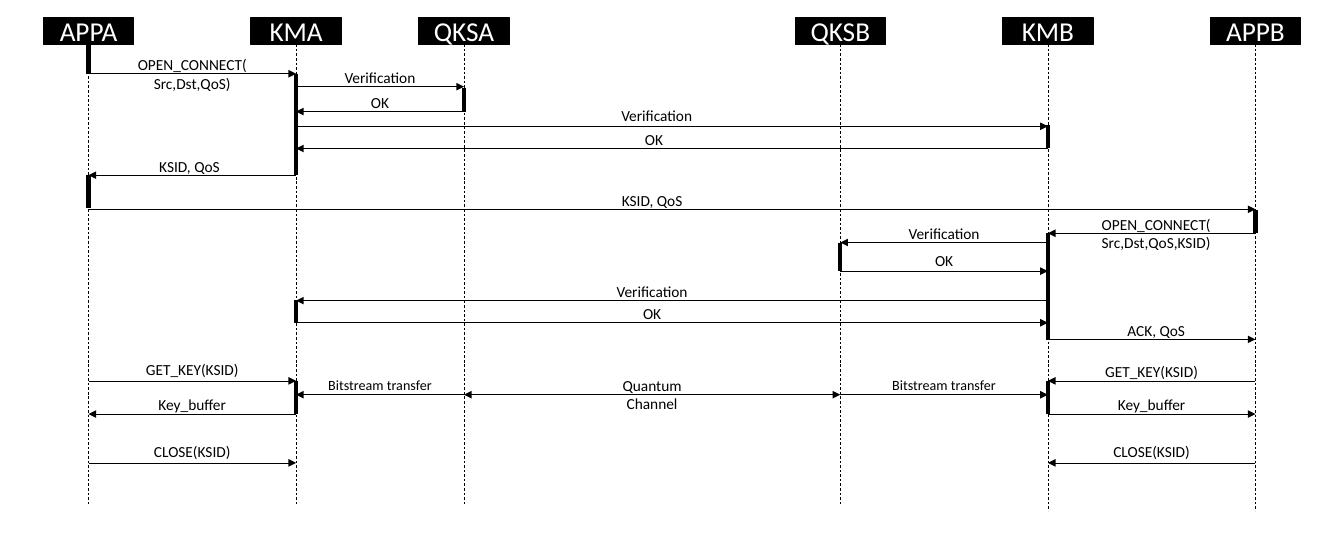
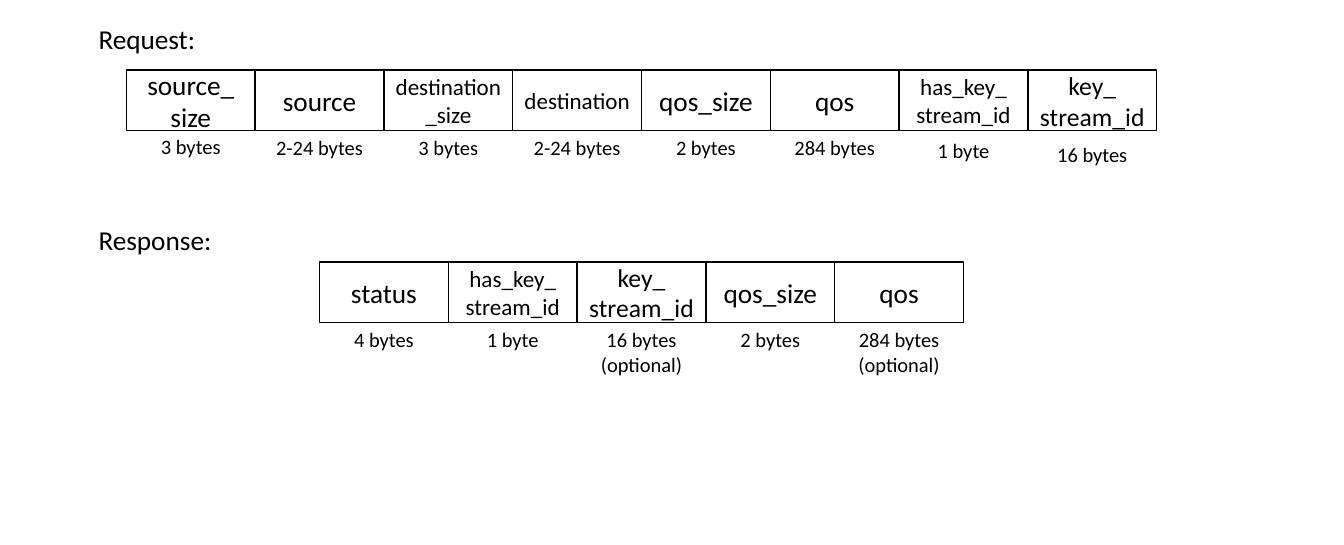
from dataclasses import dataclass

from lxml import etree
from pptx import Presentation
from pptx import util as u
from pptx.dml.color import RGBColor
from pptx.enum import dml, shapes, text
from pptx.oxml.ns import qn


@dataclass(frozen=True)
class Theme:
    ink: RGBColor = RGBColor(0x00, 0x00, 0x00)
    paper: RGBColor = RGBColor(0xFF, 0xFF, 0xFF)
    font: str = "Calibri"
    heading: float = 21.3
    key: float = 20
    field: float = 18
    size_note: float = 16
    message: float = 12
    transfer: float = 11
    thin: float = 0.5
    outline: float = 1
    bar: float = 3.25


T = Theme()


@dataclass(frozen=True)
class Participant:
    name: str
    x: float
    end: float


@dataclass(frozen=True)
class Message:
    src: str
    dst: str
    y: float
    label: str
    width: float = 1.24
    lines: int = 1
    lift: float = 0.25
    shift: float = 0
    size: float = T.message
    two_way: bool = False


@dataclass(frozen=True)
class Activation:
    who: str
    top: float
    bottom: float


@dataclass(frozen=True)
class Field:
    name: str
    note: str
    size: float = T.heading
    drop: float = 0


@dataclass(frozen=True)
class Packet:
    title: str
    title_top: float
    top: float
    fields: tuple[Field, ...]


SLIDE_W, SLIDE_H = 14.57, 5.91
HEAD_TOP, HEAD_W, HEAD_H = 0.19, 0.98, 0.29
COLUMNS, GRID_LEFT, GRID_W, ROW_H = 8, 1.37, 11.17, 0.66
COL_W = GRID_W / COLUMNS

PARTICIPANTS = (
    Participant("APPA", 0.96, 5.47),
    Participant("KMA", 3.21, 5.47),
    Participant("QKSA", 5.03, 5.47),
    Participant("QKSB", 9.11, 5.47),
    Participant("KMB", 11.36, 5.54),
    Participant("APPB", 13.61, 5.54),
)
X = {p.name: p.x for p in PARTICIPANTS}

MESSAGES = (
    Message("APPA", "KMA", 0.8, "OPEN_CONNECT(\nSrc,Dst,QoS)", width=1.67, lines=2),
    Message("KMA", "QKSA", 0.94, "Verification"),
    Message("QKSA", "KMA", 1.21, "OK"),
    Message("KMA", "KMB", 1.37, "Verification", lift=0.27, shift=0.05),
    Message("KMB", "KMA", 1.61, "OK", shift=0.02),
    Message("KMA", "APPA", 1.9, "KSID, QoS", shift=-0.03),
    Message("APPA", "APPB", 2.27, "KSID, QoS"),
    Message("APPB", "KMB", 2.53, "OPEN_CONNECT(\nSrc,Dst,QoS,KSID)",
            width=1.67, lines=2, shift=0.05),
    Message("KMB", "QKSB", 2.63, "Verification"),
    Message("QKSB", "KMB", 2.94, "OK", lift=0.27),
    Message("KMB", "KMA", 3.26, "Verification"),
    Message("KMA", "KMB", 3.5, "OK"),
    Message("KMB", "APPB", 3.68, "ACK, QoS", shift=0.05),
    Message("APPA", "KMA", 4.13, "GET_KEY(KSID)", lift=0.27),
    Message("APPB", "KMB", 4.13, "GET_KEY(KSID)"),
    Message("QKSA", "KMA", 4.28, "Bitstream transfer", width=2.04, size=T.transfer),
    Message("QKSA", "QKSB", 4.28, "Quantum Channel", lines=2, two_way=True),
    Message("QKSB", "KMB", 4.28, "Bitstream transfer", width=2.04, size=T.transfer),
    Message("KMA", "APPA", 4.49, "Key_buffer"),
    Message("KMB", "APPB", 4.49, "Key_buffer"),
    Message("APPA", "KMA", 5.02, "CLOSE(KSID)", lift=0.27),
    Message("APPB", "KMB", 5.02, "CLOSE(KSID)", lift=0.27),
)

ACTIVATIONS = (
    Activation("APPA", 0.48, 0.8),
    Activation("APPA", 1.9, 2.26),
    Activation("KMA", 0.8, 1.9),
    Activation("KMA", 3.25, 3.5),
    Activation("KMA", 4.13, 4.49),
    Activation("QKSA", 0.95, 1.21),
    Activation("QKSB", 2.63, 2.94),
    Activation("KMB", 1.36, 1.61),
    Activation("KMB", 2.53, 3.69),
    Activation("KMB", 4.13, 4.49),
    Activation("APPB", 2.28, 2.53),
)

PACKETS = (
    Packet("Request:", 0.19, 0.76, (
        Field("source_ size", "3 bytes", drop=-0.02),
        Field("source", "2-24 bytes"),
        Field("destination_size", "3 bytes", T.field),
        Field("destination", "2-24 bytes", T.field),
        Field("qos_size", "2 bytes"),
        Field("qos", "284 bytes"),
        Field("has_key_ stream_id", "1 byte", T.field, 0.03),
        Field("key_ stream_id", "16 bytes", T.key, 0.07),
    )),
    Packet("Response:", 2.37, 2.84, (
        Field("status", "4 bytes"),
        Field("has_key_ stream_id", "1 byte", T.field),
        Field("key_ stream_id", "16 bytes (optional)", T.key),
        Field("qos_size", "2 bytes"),
        Field("qos", "284 bytes (optional)"),
    )),
)


def write(tf, content: str, size: float, color: RGBColor, align) -> None:
    tf.word_wrap = True
    tf.text = content
    for p in tf.paragraphs:
        p.alignment = align
        p.font.name = T.font
        p.font.size = u.Pt(size)
        p.font.color.rgb = color


def add_box(slide, left: float, top: float, width: float, height: float,
            content: str, size: float, fill: RGBColor, color: RGBColor):
    sp = slide.shapes.add_shape(shapes.MSO_SHAPE.RECTANGLE, u.Inches(left),
                                u.Inches(top), u.Inches(width), u.Inches(height))
    sp.shadow.inherit = False
    sp.fill.solid()
    sp.fill.fore_color.rgb = fill
    sp.line.color.rgb = T.ink
    sp.line.width = u.Pt(T.outline)
    sp.text_frame.vertical_anchor = text.MSO_ANCHOR.MIDDLE
    write(sp.text_frame, content, size, color, text.PP_ALIGN.CENTER)
    return sp


def add_label(slide, left: float, top: float, width: float, height: float,
              content: str, size: float, align=text.PP_ALIGN.CENTER) -> None:
    sp = slide.shapes.add_textbox(u.Inches(left), u.Inches(top),
                                  u.Inches(width), u.Inches(height))
    write(sp.text_frame, content, size, T.ink, align)
    sp.text_frame.auto_size = text.MSO_AUTO_SIZE.SHAPE_TO_FIT_TEXT


def add_line(slide, x1: float, y1: float, x2: float, y2: float,
             width: float, dashed: bool = False, ends: tuple[str, ...] = ()):
    c = slide.shapes.add_connector(shapes.MSO_CONNECTOR.STRAIGHT, u.Inches(x1),
                                   u.Inches(y1), u.Inches(x2), u.Inches(y2))
    c.line.color.rgb = T.ink
    c.line.width = u.Pt(width)
    if dashed:
        c.line.dash_style = dml.MSO_LINE.DASH
    sp_pr = c.element.spPr
    for end in ends:
        etree.SubElement(sp_pr.find(qn("a:ln")), qn(f"a:{end}"), type="triangle")
    etree.SubElement(sp_pr, qn("a:effectLst"))
    return c


def add_participant(slide, who: Participant) -> None:
    head = add_box(slide, who.x - HEAD_W / 2, HEAD_TOP, HEAD_W, HEAD_H,
                   who.name, T.heading, T.ink, T.paper)
    lifeline = add_line(slide, who.x, HEAD_TOP + HEAD_H, who.x, who.end,
                        T.thin, dashed=True)
    lifeline.begin_connect(head, 2)


def label_center(m: Message) -> float:
    left, right = sorted((X[m.src], X[m.dst]))
    if left <= X["QKSA"] and right >= X["QKSB"]:
        left, right = X["QKSA"], X["QKSB"]
    return (left + right) / 2 + m.shift


def add_message(slide, m: Message) -> None:
    ends = ("headEnd", "tailEnd") if m.two_way else ("tailEnd",)
    add_line(slide, X[m.src], m.y, X[m.dst], m.y, T.thin, ends=ends)
    add_label(slide, label_center(m) - m.width / 2, m.y - m.lift, m.width,
              0.1 + 0.2 * m.lines, m.label, m.size)


def add_packet(slide, packet: Packet) -> None:
    add_label(slide, 0.97, packet.title_top, 1.86, 0.4, packet.title,
              T.heading, text.PP_ALIGN.LEFT)
    first = (COLUMNS - len(packet.fields)) / 2
    for i, f in enumerate(packet.fields):
        left = GRID_LEFT + (first + i) * COL_W
        add_box(slide, left, packet.top, COL_W, ROW_H, f.name, f.size,
                T.paper, T.ink)
        add_label(slide, left, packet.top + ROW_H + f.drop, COL_W,
                  0.64 if "optional" in f.note else 0.37, f.note, T.size_note)


def build_sequence(slide) -> None:
    for who in PARTICIPANTS:
        add_participant(slide, who)
    for a in ACTIVATIONS:
        add_line(slide, X[a.who], a.top, X[a.who], a.bottom, T.bar)
    for m in MESSAGES:
        add_message(slide, m)


def build_packets(slide) -> None:
    for packet in PACKETS:
        add_packet(slide, packet)


def main() -> None:
    prs = Presentation()
    prs.slide_width = u.Inches(SLIDE_W)
    prs.slide_height = u.Inches(SLIDE_H)
    for build in (build_sequence, build_packets):
        build(prs.slides.add_slide(prs.slide_layouts[6]))
    prs.save("out.pptx")


if __name__ == "__main__":
    main()
